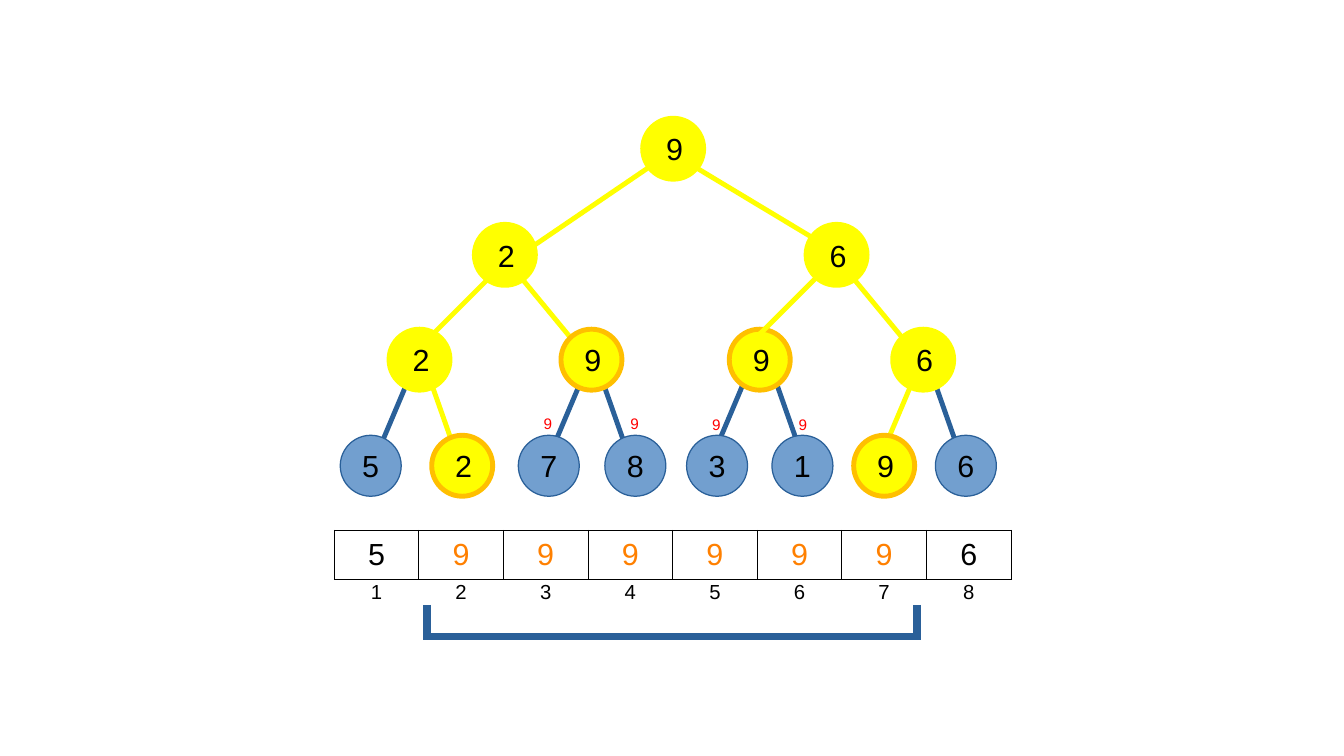
from dataclasses import dataclass

from lxml import etree
from pptx import Presentation
from pptx.dml.color import RGBColor
from pptx.enum.shapes import MSO_CONNECTOR, MSO_SHAPE
from pptx.enum.text import MSO_ANCHOR, MSO_AUTO_SIZE, PP_ALIGN
from pptx.oxml.ns import qn
from pptx.util import Inches, Pt

OVAL = MSO_SHAPE.OVAL
STRAIGHT = MSO_CONNECTOR.STRAIGHT
MIDDLE = MSO_ANCHOR.MIDDLE
CENTER = PP_ALIGN.CENTER
LEFT = PP_ALIGN.LEFT
FIT_TEXT = MSO_AUTO_SIZE.SHAPE_TO_FIT_TEXT


@dataclass(frozen=True)
class Theme:
    font: str = "Arial"
    black: str = "000000"
    red: str = "FF0000"
    orange: str = "FF8000"
    amber: str = "FFBF00"
    yellow: str = "FFFF00"
    light_blue: str = "729FCF"
    dark_blue: str = "2A6099"
    value_size: float = 18
    index_size: float = 12
    tag_size: float = 9
    edge_width: float = 2.89
    bracket_width: float = 4.31
    border_width: float = 0.57


THEME = Theme()

# Fill, outline colour and outline width of each node state
NODE_STYLES = {
    "idle": (THEME.light_blue, THEME.dark_blue, 0),
    "visited": (THEME.yellow, THEME.yellow, THEME.edge_width),
    "covered": (THEME.yellow, THEME.amber, THEME.edge_width),
}
NODE_SIZE = 0.5

# Top of each tree level, then its nodes: left, value, state
TREE_LEVELS = [
    (3.57, [(2.79, "5", "idle"), (3.54, "2", "covered"), (4.25, "7", "idle"),
            (4.96, "8", "idle"), (5.63, "3", "idle"), (6.33, "1", "idle"),
            (7, "9", "covered"), (7.67, "6", "idle")]),
    (2.7, [(3.19, "2", "visited"), (4.6, "9", "covered"),
           (5.98, "9", "covered"), (7.32, "6", "visited")]),
    (1.84, [(3.89, "2", "visited"), (6.61, "6", "visited")]),
    (0.97, [(5.27, "9", "visited")]),
]

# Edges to the leaves: start, horizontal run, colour
LEAF_TOP, LEAF_BOTTOM = 3.04, 3.75
LEFT_RUN, RIGHT_RUN = -0.3, 0.25
LEAF_EDGES = [
    (3.38, LEFT_RUN, THEME.dark_blue), (3.5, RIGHT_RUN, THEME.yellow),
    (4.8, LEFT_RUN, THEME.dark_blue), (4.91, RIGHT_RUN, THEME.dark_blue),
    (6.14, LEFT_RUN, THEME.dark_blue), (6.33, RIGHT_RUN, THEME.dark_blue),
    (7.52, LEFT_RUN, THEME.yellow), (7.63, RIGHT_RUN, THEME.dark_blue),
]
UPPER_EDGES = [
    ((4.12, 2.17), (3.37, 2.92)), ((4.25, 2.25), (4.77, 2.88)),
    ((6.97, 2.25), (7.49, 2.88)),
    ((5.5, 1.25), (4.31, 2.06)), ((5.5, 1.25), (6.78, 2.02)),
]
FRONT_EDGE = ((6.8, 2.17), (6.05, 2.92))

TAGS = [(4.36, 3.35), (5.07, 3.35), (5.74, 3.36), (6.45, 3.36)]

ARRAY_VALUES = "59999996"
ARRAY_COLORS = [THEME.black] + [THEME.orange] * 6 + [THEME.black]
ARRAY_LEFT, ARRAY_WIDTH, ROW_HEIGHT = 2.74, 5.55, 0.38
BRACKET_LEFT, BRACKET_RIGHT = 3.5, 7.52
BRACKET_TOP, BRACKET_BASE, BRACKET_BOTTOM = 4.96, 5.22, 5.25


def set_format(target, values):
    for name, value in values.items():
        setattr(target, name, value)


class SlideBuilder:
    def __init__(self, slide, theme):
        self.slide = slide
        self.theme = theme

    def add_text(self, text_frame, text, size, color, alignment=CENTER):
        paragraph = text_frame.paragraphs[0]
        paragraph.alignment = alignment
        run = paragraph.add_run()
        run.text = text
        set_format(run.font, {"name": self.theme.font, "size": Pt(size),
                              "bold": False})
        run.font.color.rgb = RGBColor.from_string(color)

    def line(self, start, end, color, width):
        points = [Inches(value) for value in (*start, *end)]
        connector = self.slide.shapes.add_connector(STRAIGHT, *points)
        connector.line.color.rgb = RGBColor.from_string(color)
        connector.line.width = Pt(width)
        etree.SubElement(connector._element.spPr, qn("a:effectLst"))

    def node(self, left, top, value, state):
        fill, outline, width = NODE_STYLES[state]
        shape = self.slide.shapes.add_shape(
            OVAL, Inches(left), Inches(top), Inches(NODE_SIZE), Inches(NODE_SIZE))
        shape.shadow.inherit = False
        shape.fill.solid()
        shape.fill.fore_color.rgb = RGBColor.from_string(fill)
        shape.line.color.rgb = RGBColor.from_string(outline)
        shape.line.width = Pt(width)
        extra = 0.02 if width else 0
        set_format(shape.text_frame, {
            "vertical_anchor": MIDDLE, "word_wrap": True,
            "margin_left": Inches(0.1 + extra), "margin_right": Inches(0.1 + extra),
            "margin_top": Inches(0.05 + extra), "margin_bottom": Inches(0.05 + extra)})
        self.add_text(shape.text_frame, value, self.theme.value_size, self.theme.black)

    def tag(self, left, top, text):
        shape = self.slide.shapes.add_textbox(
            Inches(left), Inches(top), Inches(0.27), Inches(0.24))
        set_format(shape.text_frame, {"word_wrap": False, "auto_size": FIT_TEXT})
        self.add_text(shape.text_frame, text, self.theme.tag_size, self.theme.red, LEFT)

    def border(self, cell):
        properties = cell._tc.get_or_add_tcPr()
        for position, side in enumerate(("a:lnL", "a:lnR", "a:lnT", "a:lnB")):
            line = etree.Element(qn(side), w=str(int(Pt(self.theme.border_width))))
            fill = etree.SubElement(line, qn("a:solidFill"))
            etree.SubElement(fill, qn("a:srgbClr"), val=self.theme.black)
            properties.insert(position, line)

    def row(self, top, texts, size, colors, bordered):
        table = self.slide.shapes.add_table(
            1, len(texts), Inches(ARRAY_LEFT), Inches(top),
            Inches(ARRAY_WIDTH), Inches(ROW_HEIGHT)).table
        set_format(table, {"first_row": False, "horz_banding": False})
        for column, text, color in zip(range(len(texts)), texts, colors):
            table.columns[column].width = Inches(ARRAY_WIDTH / len(texts))
            cell = table.cell(0, column)
            cell.fill.background()
            set_format(cell, {
                "vertical_anchor": MIDDLE,
                "margin_left": Inches(0.04), "margin_right": Inches(0.04),
                "margin_top": Inches(0.05), "margin_bottom": Inches(0.05)})
            self.add_text(cell.text_frame, text, size, color)
            if bordered:
                self.border(cell)


def main():
    presentation = Presentation()
    set_format(presentation, {"slide_width": Inches(11.02),
                              "slide_height": Inches(6.2)})
    slide = presentation.slides.add_slide(presentation.slide_layouts[6])
    builder = SlideBuilder(slide, THEME)

    # Tree edges behind the nodes
    for start, run, color in LEAF_EDGES:
        builder.line((start, LEAF_TOP), (start + run, LEAF_BOTTOM),
                     color, THEME.edge_width)
    for start, end in UPPER_EDGES:
        builder.line(start, end, THEME.yellow, THEME.edge_width)

    # Tree nodes, from the leaves to the root
    for top, nodes in TREE_LEVELS:
        for left, value, state in nodes:
            builder.node(left, top, value, state)
    builder.line(*FRONT_EDGE, THEME.yellow, THEME.edge_width)

    # Pending values above the leaves
    for left, top in TAGS:
        builder.tag(left, top, "9")

    # Array with its indices
    builder.row(4.67, "12345678", THEME.index_size, [THEME.black] * 8, False)
    builder.row(4.35, ARRAY_VALUES, THEME.value_size, ARRAY_COLORS, True)

    # Bracket under the updated range
    for side in (BRACKET_LEFT, BRACKET_RIGHT):
        builder.line((side, BRACKET_TOP), (side, BRACKET_BOTTOM),
                     THEME.dark_blue, THEME.bracket_width)
    builder.line((BRACKET_RIGHT, BRACKET_BASE), (BRACKET_LEFT, BRACKET_BASE),
                 THEME.dark_blue, THEME.bracket_width)

    presentation.save("out.pptx")


if __name__ == "__main__":
    main()
